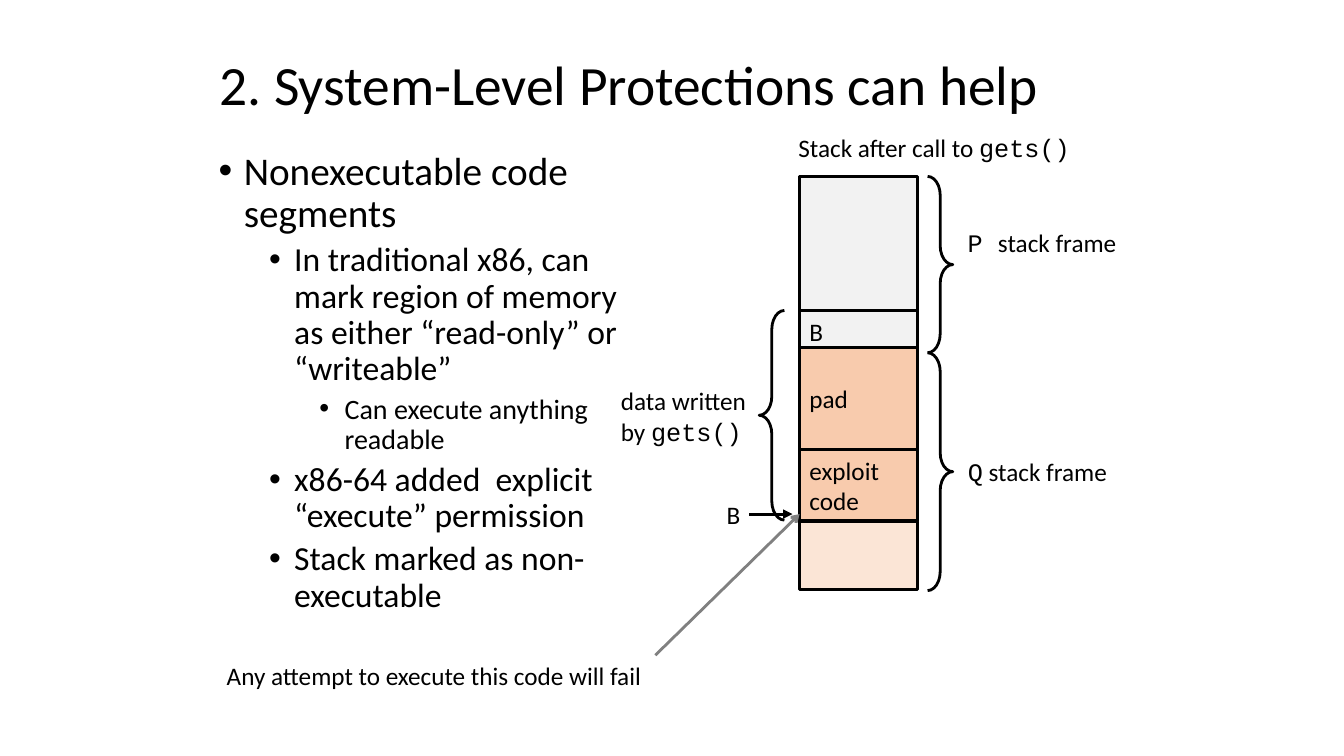
from lxml import etree
from pptx import Presentation
from pptx.dml.color import RGBColor
from pptx.enum.shapes import MSO_CONNECTOR, MSO_SHAPE
from pptx.enum.text import MSO_ANCHOR, MSO_AUTO_SIZE, PP_ALIGN
from pptx.oxml.ns import qn
from pptx.util import Inches, Pt

RECT, LEFT_BRACE, RIGHT_BRACE = MSO_SHAPE.RECTANGLE, MSO_SHAPE.LEFT_BRACE, MSO_SHAPE.RIGHT_BRACE
STRAIGHT = MSO_CONNECTOR.STRAIGHT
TOP, MIDDLE = MSO_ANCHOR.TOP, MSO_ANCHOR.MIDDLE
LEFT, RIGHT = PP_ALIGN.LEFT, PP_ALIGN.RIGHT
FIT = MSO_AUTO_SIZE.SHAPE_TO_FIT_TEXT
SANS, MONO = "Calibri", "Courier New"
BLACK, GREY = "000000", "808080"

# Content: a paragraph is a list of (text, font) runs
TITLE = "2. System-Level Protections can help"
BULLETS = [  # level, text
    (0, "Nonexecutable code segments"),
    (1, "In traditional x86, can mark region of memory as either “read-only” or “writeable”"),
    (2, "Can execute anything readable"),
    (1, "x86-64 added  explicit “execute” permission"),
    (1, "Stack marked as non-executable"),
]
BULLET_SIZES = (28, 24, 20)

# Stack column, top to bottom
STACK_X, STACK_W = 7.93, 1.17
FRAME_EDGES = (1.75, 3.5, 5.86)  # P frame, then Q frame
SEGMENTS = [  # top, bottom, fill, lines of text
    (1.75, 3.08, "F2F2F2", []),
    (3.08, FRAME_EDGES[1], "F2F2F2", ["B"]),
    (3.45, 4.46, "F8CBAD", ["pad"]),
    (4.46, 5.17, "F8CBAD", ["exploit", "code"]),
    (5.17, 5.85, "FBE5D6", []),
]
BRACE_W, BRACE_GAP = 0.25, 0.1
WRITTEN_X, WRITTEN_TOP, WRITTEN_BOTTOM = 7.53, 3.08, 5.16
EXPLOIT_Y = 5.1

LABELS = [  # left, top, width, height, paragraphs, format
    (7.82, 1.26, 2.93, 0.4, [[("Stack after call to ", SANS), ("gets()", MONO)]], {}),
    (9.5, 2.21, 1.7, 0.4, [[("P ", MONO), ("stack frame", SANS)]], {"anchor": MIDDLE}),
    (9.5, 4.48, 1.61, 0.4, [[("Q", MONO), (" stack frame", SANS)]], {"anchor": MIDDLE}),
    (7.11, 4.9, 0.34, 0.4, [[("B", SANS)]], {"anchor": MIDDLE}),
    (6.06, 3.77, 1.5, 0.71,
     [[("data written", SANS)], [("by ", SANS), ("gets()", MONO)]],
     {"anchor": MIDDLE, "wrap": True}),
    (1.96, 6.5, 4.5, 0.4, [[("Any attempt to execute this code will fail", SANS)]],
     {"align": RIGHT}),
]
ARROWS = [  # x1, y1, x2, y2, colour, width, head
    (7.43, EXPLOIT_Y, 7.86, EXPLOIT_Y, BLACK, 2.25, "triangle"),
    (6.5, 6.5, STACK_X, EXPLOIT_Y, GREY, 2, "arrow"),
]


def rgb(color):
    return RGBColor.from_string(color)


def write(sp, paragraphs, size=18, anchor=TOP, align=LEFT, wrap=True, fit=None, spacing=None):
    tf = sp.text_frame
    tf.word_wrap, tf.vertical_anchor = wrap, anchor
    if fit is not None:
        tf.auto_size = fit
    for i, runs in enumerate(paragraphs):
        p = tf.add_paragraph() if i else tf.paragraphs[0]
        p.alignment = align
        if spacing:
            p.line_spacing = spacing
        for text, font in runs:
            r = p.add_run()
            r.text = text
            r.font.name, r.font.size = font, Pt(size)
            r.font.color.rgb = rgb(BLACK)
    return tf


def text_box(s, x, y, w, h):
    return s.shapes.add_textbox(Inches(x), Inches(y), Inches(w), Inches(h))


def shape(s, kind, x, y, w, h, fill=None, width=2.25):
    sp = s.shapes.add_shape(kind, Inches(x), Inches(y), Inches(w), Inches(h))
    sp.shadow.inherit = False
    if fill:
        sp.fill.solid()
        sp.fill.fore_color.rgb = rgb(fill)
    else:
        sp.fill.background()
    sp.line.color.rgb, sp.line.width = rgb(BLACK), Pt(width)
    return sp


def brace(s, kind, x, top, bottom):
    sp = shape(s, kind, x, top, BRACE_W, bottom - top, width=2)
    sp.adjustments[0], sp.adjustments[1] = 0.75, 0.5


def arrow(s, x1, y1, x2, y2, color, width, head):
    c = s.shapes.add_connector(STRAIGHT, Inches(x1), Inches(y1), Inches(x2), Inches(y2))
    c.line.color.rgb, c.line.width = rgb(color), Pt(width)
    etree.SubElement(c.line._get_or_add_ln(), qn("a:tailEnd"), type=head)
    etree.SubElement(c._element.spPr, qn("a:effectLst"))


def bullet_list(s, x, y, w, h):
    sp = text_box(s, x, y, w, h)
    tf = write(sp, [[(text, SANS)] for _, text in BULLETS], spacing=0.9)
    for i, (p, (level, _)) in enumerate(zip(tf.paragraphs, BULLETS)):
        p.level = level
        p.space_before = Pt(5 if i else 0)
        p.runs[0].font.size = Pt(BULLET_SIZES[level])
        pPr = p._p.get_or_add_pPr()
        pPr.set("marL", str(Inches(0.25 + 0.5 * level)))
        pPr.set("indent", str(Inches(-0.25)))
        etree.SubElement(pPr, qn("a:buFont"), typeface="Arial")
        etree.SubElement(pPr, qn("a:buChar"), char="•")


def main():
    prs = Presentation()
    prs.slide_width, prs.slide_height = Inches(13.33), Inches(7.5)
    s = prs.slides.add_slide(prs.slide_layouts[6])

    # Title and bullets
    write(text_box(s, 2.08, 0.58, 8.83, 0.58), [[(TITLE, SANS)]],
          size=39.6, anchor=MIDDLE, spacing=0.9)
    bullet_list(s, 2.07, 1.45, 4.43, 5.71)

    # Stack segments
    for top, bottom, fill, lines in SEGMENTS:
        sp = shape(s, RECT, STACK_X, top, STACK_W, bottom - top, fill)
        if lines:
            write(sp, [[(line, SANS)] for line in lines], anchor=MIDDLE)

    # Braces for the two frames and the written data
    for top, bottom in zip(FRAME_EDGES, FRAME_EDGES[1:]):
        brace(s, RIGHT_BRACE, STACK_X + STACK_W + BRACE_GAP, top, bottom)
    brace(s, LEFT_BRACE, WRITTEN_X, WRITTEN_TOP, WRITTEN_BOTTOM)

    # Labels and arrows
    for x, y, w, h, paragraphs, fmt in LABELS:
        write(text_box(s, x, y, w, h), paragraphs, **{"wrap": False, "fit": FIT, **fmt})
    for spec_row in ARROWS:
        arrow(s, *spec_row)

    prs.save("out.pptx")


if __name__ == "__main__":
    main()
